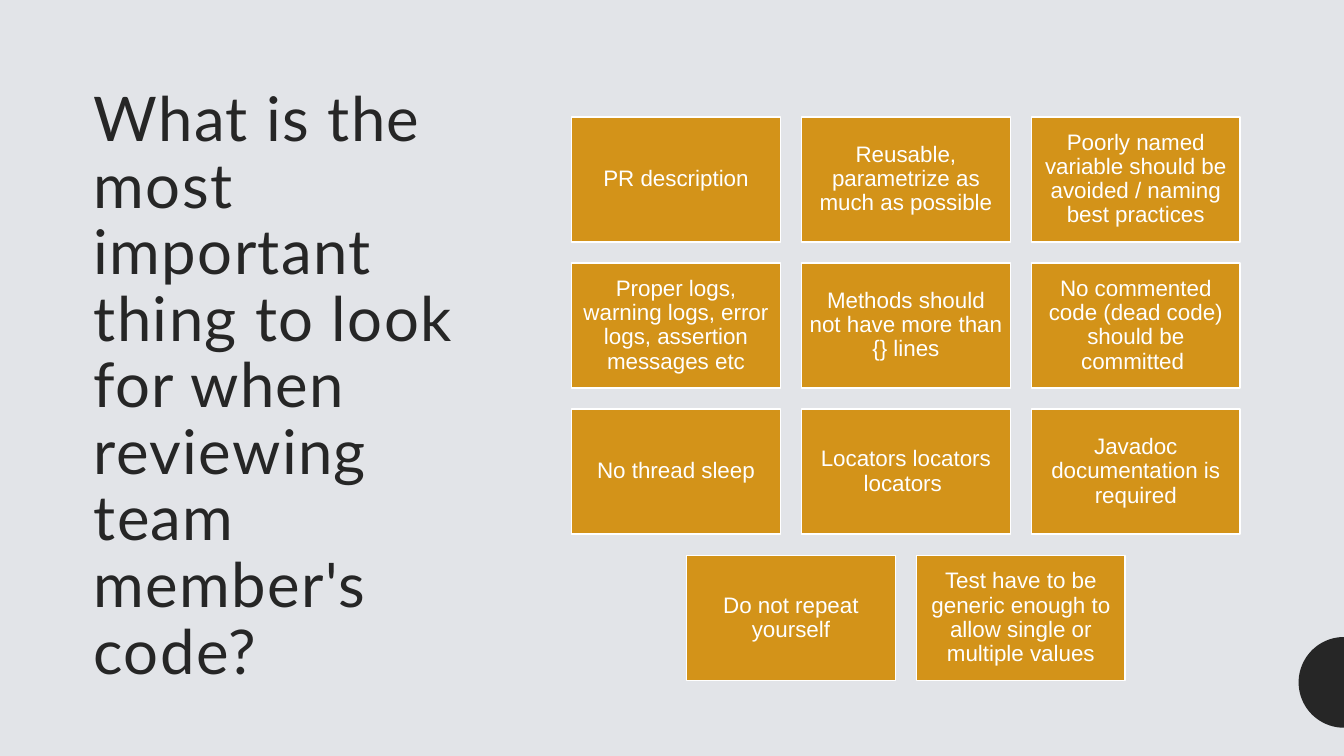
"""Build a slide with a question on the left and a grid of code review answers."""
import math

from pptx import Presentation
from pptx.dml.color import RGBColor
from pptx.enum.shapes import MSO_SHAPE
from pptx.enum.text import MSO_ANCHOR, MSO_AUTO_SIZE, PP_ALIGN
from pptx.util import Inches, Pt

RECTANGLE = MSO_SHAPE.RECTANGLE
TOP, MIDDLE = MSO_ANCHOR.TOP, MSO_ANCHOR.MIDDLE
LEFT, CENTER = PP_ALIGN.LEFT, PP_ALIGN.CENTER
NO_AUTOFIT = MSO_AUTO_SIZE.NONE

QUESTION = "What is the most important thing to look for when reviewing team member's code?"
ANSWER_ROWS = [
    ["PR description",
     "Reusable, parametrize as much as possible",
     "Poorly named variable should be avoided / naming best practices"],
    ["Proper logs, warning logs, error logs, assertion messages etc",
     "Methods should not have more than {} lines",
     "No commented code (dead code) should be committed "],
    ["No thread sleep",
     "Locators locators locators ",
     "Javadoc documentation is required"],
    ["Do not repeat yourself",
     "Test have to be generic enough to allow single or multiple values"],
]

COLORS = {"background": "E2E4E8", "dark": "262626", "card": "D39319", "light": "FFFFFF"}
SLIDE_WIDTH, SLIDE_HEIGHT = 13.33, 7.5
TITLE_BOX = (0.83, 0.83, 4.19, 5.2)
GRID_CENTER, GRID_TOP = 8.985, 1.16
CARD_WIDTH, CARD_HEIGHT = 2.07, 1.24
COLUMN_STEP, ROW_STEP = 2.28, 1.45
CARD_INSET = 0.07
DISC_CENTER, DISC_RADIUS, DISC_STEPS = 6.77, 0.45, 48


def color(name):
    return RGBColor.from_string(COLORS[name])


def write(frame, text, font_name, size, color_name, alignment):
    frame.word_wrap = True
    frame.auto_size = NO_AUTOFIT
    paragraph = frame.paragraphs[0]
    paragraph.alignment = alignment
    paragraph.line_spacing = 0.9
    run = paragraph.add_run()
    run.text = text
    run.font.name = font_name
    run.font.size = Pt(size)
    run.font.color.rgb = color(color_name)
    return run


def add_half_disc(slide):
    angles = [math.pi * (0.5 + step / DISC_STEPS) for step in range(DISC_STEPS + 1)]
    points = [(Inches(SLIDE_WIDTH + DISC_RADIUS * math.cos(angle)),
               Inches(DISC_CENTER + DISC_RADIUS * math.sin(angle))) for angle in angles]
    builder = slide.shapes.build_freeform(*points[0])
    builder.add_line_segments(points[1:], close=True)
    half_disc = builder.convert_to_shape()
    half_disc.shadow.inherit = False
    half_disc.fill.solid()
    half_disc.fill.fore_color.rgb = color("dark")
    half_disc.line.fill.background()


def add_title(slide):
    title = slide.shapes.title
    title.left, title.top, title.width, title.height = map(Inches, TITLE_BOX)
    title.text_frame.vertical_anchor = TOP
    run = write(title.text_frame, QUESTION, "Lato", 44, "dark", LEFT)
    run.font._element.set("spc", "100")


def add_card(slide, text, left, top):
    card = slide.shapes.add_shape(RECTANGLE, Inches(left), Inches(top),
                                  Inches(CARD_WIDTH), Inches(CARD_HEIGHT))
    card.shadow.inherit = False
    card.fill.solid()
    card.fill.fore_color.rgb = color("card")
    card.line.color.rgb = color("light")
    card.line.width = Pt(1)
    frame = card.text_frame
    frame.vertical_anchor = MIDDLE
    frame.margin_left = frame.margin_right = Inches(CARD_INSET)
    frame.margin_top = frame.margin_bottom = Inches(CARD_INSET)
    write(frame, text, "Arial", 16, "light", CENTER)


def main():
    presentation = Presentation()
    presentation.slide_width = Inches(SLIDE_WIDTH)
    presentation.slide_height = Inches(SLIDE_HEIGHT)
    slide = presentation.slides.add_slide(presentation.slide_layouts.get_by_name("Title Only"))
    slide.background.fill.solid()
    slide.background.fill.fore_color.rgb = color("background")
    add_half_disc(slide)
    add_title(slide)
    for row, answers in enumerate(ANSWER_ROWS):
        row_width = (len(answers) - 1) * COLUMN_STEP + CARD_WIDTH
        row_left = GRID_CENTER - row_width / 2
        for column, answer in enumerate(answers):
            add_card(slide, answer, row_left + column * COLUMN_STEP, GRID_TOP + row * ROW_STEP)
    presentation.save("out.pptx")


if __name__ == "__main__":
    main()
